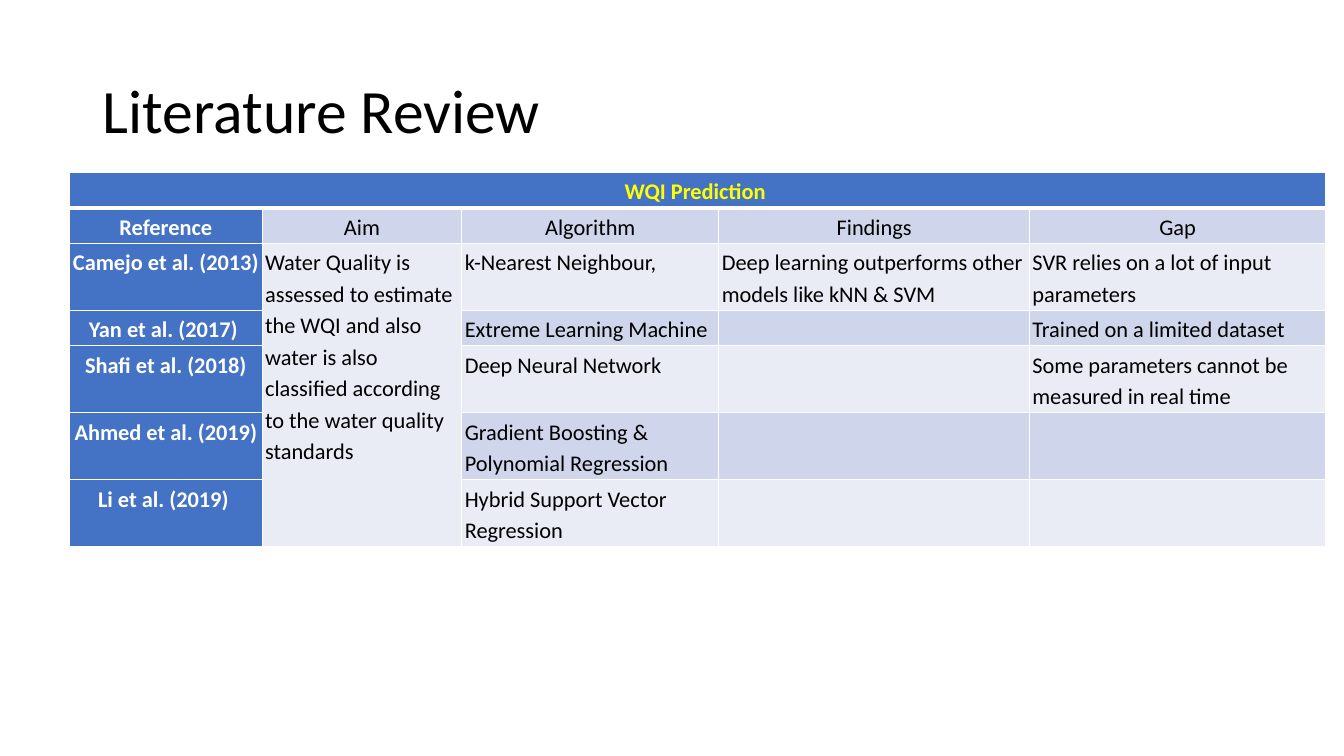
from lxml.etree import SubElement
from pptx import Presentation
from pptx.dml.color import RGBColor
from pptx.enum.text import MSO_ANCHOR, PP_ALIGN
from pptx.oxml.ns import qn
from pptx.util import Inches, Pt

BLACK = RGBColor(0x00, 0x00, 0x00)
WHITE = RGBColor(0xFF, 0xFF, 0xFF)
YELLOW = RGBColor(0xFF, 0xFF, 0x00)
BLUE = RGBColor(0x44, 0x72, 0xC4)
BAND_DARK = RGBColor(0xCF, 0xD5, 0xEA)
BAND_LIGHT = RGBColor(0xE9, 0xEB, 0xF5)

FONT = "Calibri"
SLIDE_WIDTH, SLIDE_HEIGHT = 13.33, 7.5
TITLE_BOX = (0.92, 0.4, 11.5, 1.45)
TABLE_BOX = (0.69, 1.71, 12.46, 3.66)
COLUMN_WIDTHS = (1.91, 1.98, 2.55, 3.08, 2.94)
ONE_LINE, TWO_LINES = 0.34, 0.66
ROW_HEIGHTS = (ONE_LINE, ONE_LINE, TWO_LINES, ONE_LINE) + (TWO_LINES,) * 3

AIM = ("Water Quality is assessed to estimate the WQI and also water is also "
       "classified according to the water quality standards")
ROWS = (
    ("WQI Prediction ", "", "", "", ""),
    ("Reference", "Aim", "Algorithm", "Findings", "Gap"),
    ("Camejo et al. (2013)", AIM, "k-Nearest Neighbour,",
     "Deep learning outperforms other models like kNN & SVM",
     "SVR relies on a lot of input parameters"),
    ("Yan et al. (2017) ", "", "Extreme Learning Machine", "",
     "Trained on a limited dataset"),
    ("Shafi et al. (2018)", "", "Deep Neural Network", "",
     "Some parameters cannot be measured in real time"),
    ("Ahmed et al. (2019)", "", "Gradient Boosting & Polynomial Regression", "", ""),
    ("Li et al. (2019) ", "", "Hybrid Support Vector Regression", "", ""),
)


def write_text(text_frame, text, size=16, color=BLACK, bold=False,
               align=PP_ALIGN.LEFT, line_spacing=1.15):
    paragraph = text_frame.paragraphs[0]
    paragraph.alignment = align
    paragraph.line_spacing = line_spacing
    run = paragraph.add_run()
    run.text = text
    run.font.name = FONT
    run.font.size = Pt(size)
    run.font.bold = bold
    run.font.color.rgb = color


def set_borders(cell, top=1, bottom=1):
    """Draw white borders; call before the fill, which must follow them in the XML."""
    properties = cell._tc.get_or_add_tcPr()
    for side, width in (("L", 1), ("R", 1), ("T", top), ("B", bottom)):
        line = SubElement(properties, qn(f"a:ln{side}"), w=str(Pt(width)))
        fill = SubElement(line, qn("a:solidFill"))
        SubElement(fill, qn("a:srgbClr"), val=str(WHITE))


def add_title(slide, box, text):
    title = slide.shapes.title
    title.left, title.top, title.width, title.height = map(Inches, box)
    title.text_frame.vertical_anchor = MSO_ANCHOR.MIDDLE
    title.text_frame.word_wrap = True
    write_text(title.text_frame, text, size=44, line_spacing=0.9)


def format_cell(cell, text, row, column):
    cell.margin_left = cell.margin_right = Inches(0.03)
    cell.margin_top = cell.margin_bottom = Inches(0.02)
    cell.vertical_anchor = MSO_ANCHOR.TOP
    set_borders(cell, top=3 if row == 1 else 1, bottom=3 if row == 0 else 1)

    is_heading = row == 0 or column == 0
    band = BAND_DARK if row % 2 else BAND_LIGHT
    cell.fill.solid()
    cell.fill.fore_color.rgb = BLUE if is_heading else band
    if cell.is_spanned:
        return
    color = YELLOW if row == 0 else WHITE if column == 0 else BLACK
    centred = is_heading or row == 1
    write_text(cell.text_frame, text, color=color, bold=is_heading,
               align=PP_ALIGN.CENTER if centred else PP_ALIGN.LEFT)


def add_review_table(slide, box):
    left, top, width, height = box
    frame = slide.shapes.add_table(len(ROWS), len(COLUMN_WIDTHS),
                                   *map(Inches, box))
    table = frame.table
    table.first_col = True
    for column, share in zip(table.columns, COLUMN_WIDTHS):
        column.width = Inches(width * share / sum(COLUMN_WIDTHS))
    for row, share in zip(table.rows, ROW_HEIGHTS):
        row.height = Inches(height * share / sum(ROW_HEIGHTS))

    last_row, last_column = len(ROWS) - 1, len(COLUMN_WIDTHS) - 1
    table.cell(0, 0).merge(table.cell(0, last_column))
    table.cell(2, 1).merge(table.cell(last_row, 1))
    for row, texts in enumerate(ROWS):
        for column, text in enumerate(texts):
            format_cell(table.cell(row, column), text, row, column)


def main():
    presentation = Presentation()
    presentation.slide_width = Inches(SLIDE_WIDTH)
    presentation.slide_height = Inches(SLIDE_HEIGHT)
    title_only = presentation.slide_layouts.get_by_name("Title Only")
    slide = presentation.slides.add_slide(title_only)
    add_title(slide, TITLE_BOX, "Literature Review")
    add_review_table(slide, TABLE_BOX)
    presentation.save("out.pptx")


if __name__ == "__main__":
    main()
